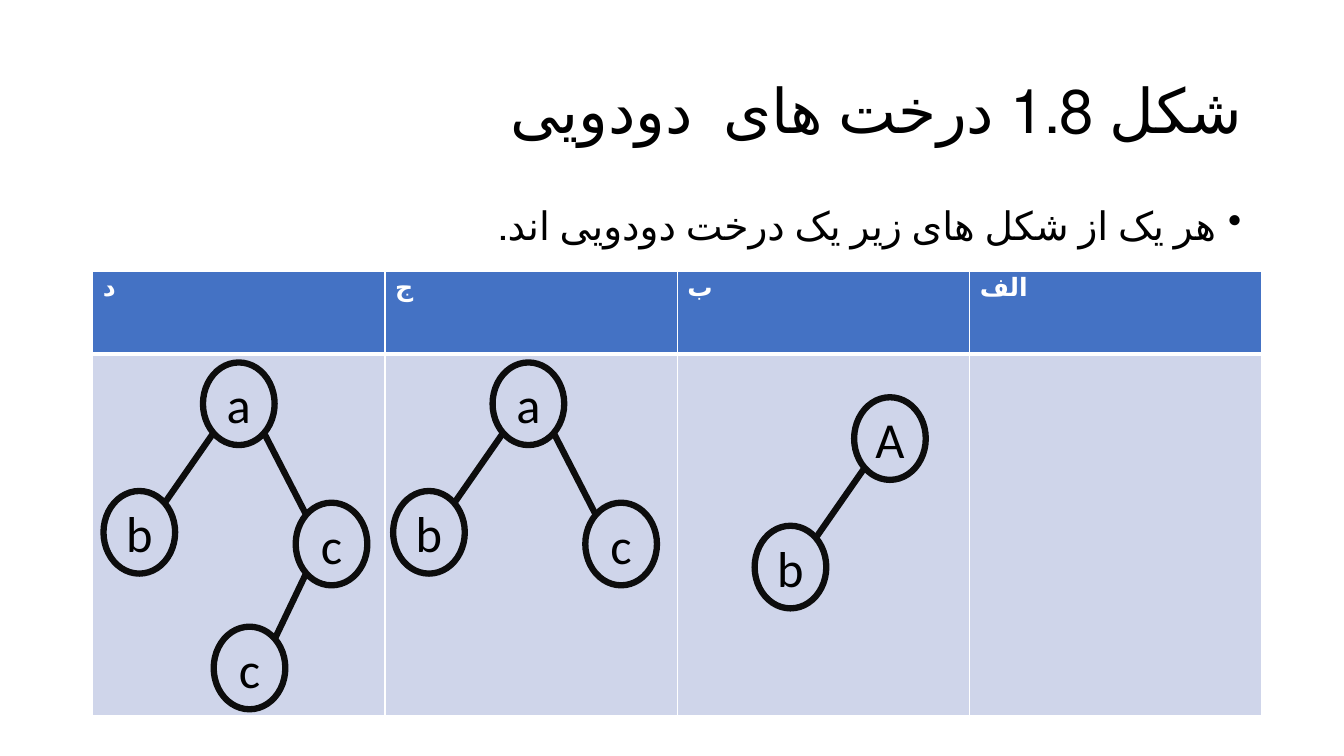
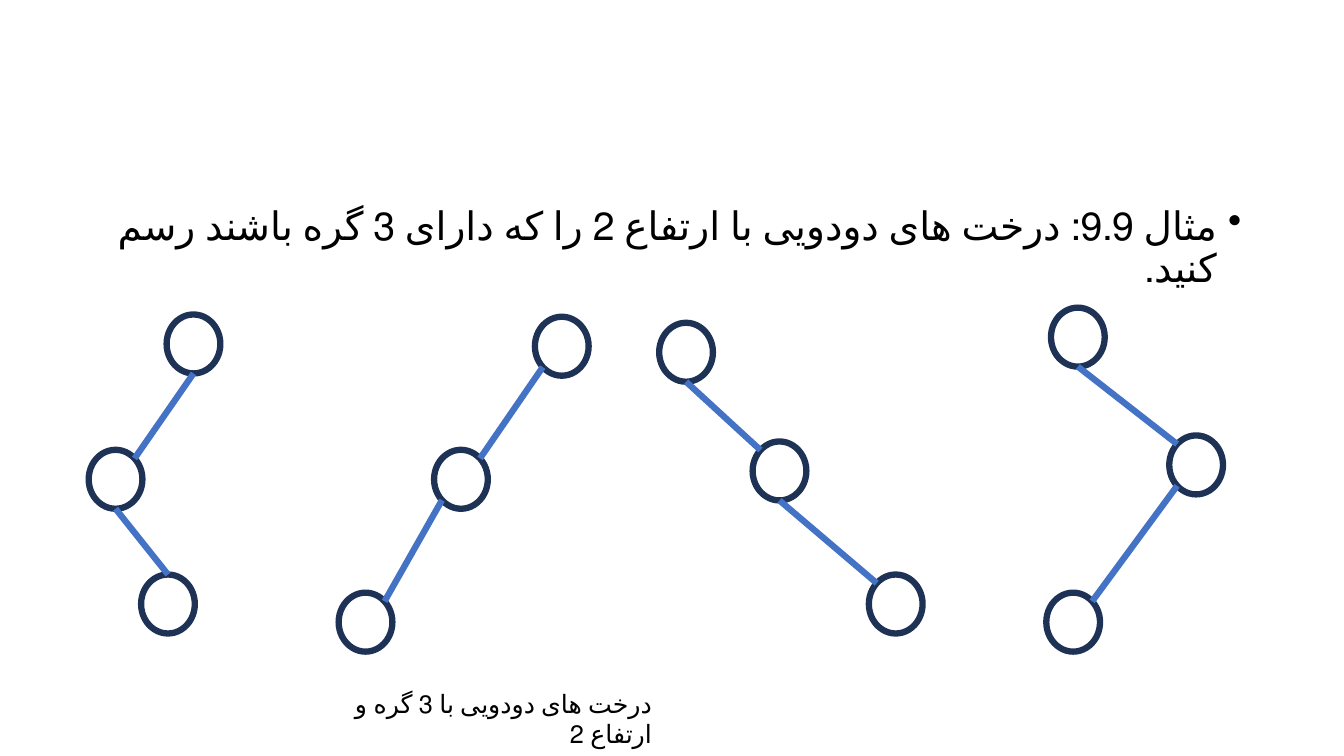
import math
from dataclasses import dataclass

import pptx
import pptx.util
import pptx.dml.color
import pptx.enum.lang
import pptx.enum.shapes
import pptx.enum.text
import pptx.oxml
import pptx.oxml.ns
from lxml import etree

Pt = pptx.util.Pt
Align = pptx.enum.text.PP_ALIGN
Anchor = pptx.enum.text.MSO_ANCHOR
qn = pptx.oxml.ns.qn

WIDE, HIGH = pptx.util.Inches(13.33), pptx.util.Inches(7.5)


@dataclass(frozen=True)
class Theme:
    font: str = "Calibri"
    ink: str = "000000"
    paper: str = "FFFFFF"
    accent: str = "4472C4"
    pale: str = "CFD5EA"
    dark: str = "0D0D0D"
    navy: str = "1E3256"
    title: int = 44
    body: int = 28
    node: int = 36
    small: int = 18
    stroke: float = 4.5


LOOK = Theme()

# Ellipse sites, numbered anticlockwise from the top in steps of 45 degrees
TOP, NW, SW, BOTTOM, SE, NE = 0, 1, 3, 4, 5, 7
LEFT, RIGHT = (SW, NE), (SE, NW)

# All lengths are percent shares of the slide's width and height
EDGE, SPAN = 6.9, 86.25
LARGE, LITTLE = (5.33, 10.93), (4, 7.8)

HEADS = ["د", "ج", "ب", "الف"]
ROWS = [10.93, 47.87]

# Tree kinds: node offsets from the root, then edges (parent, child, sites)
STEPS = [(0, 0), (-7.4, 17), (6.9, 18.55), (0.8, 34.95)]
LINKS = [(0, 1, LEFT), (0, 2, RIGHT), (2, 3, LEFT)]
NAMED = [((63.55, 52.55), "Ab"), ((36.65, 47.95), "abc"),
         ((15.1, 47.95), "abcc")]

PATHS = [
    ([(12.4, 41.6), (6.6, 59.5), (10.5, 76)], [(BOTTOM, NE), (BOTTOM, TOP)]),
    ([(39.8, 41.9), (32.3, 59.5), (25.2, 78.4)], [LEFT, LEFT]),
    ([(49.05, 42.7), (56, 58.4), (64.65, 76)], [(BOTTOM, NW), (BOTTOM, NW)]),
    ([(78.2, 40.7), (87, 57.6), (77.85, 78.4)], [(BOTTOM, NW), LEFT]),
]


def across(share):
    return round(WIDE * share / 100)


def down(share):
    return round(HIGH * share / 100)


def area(x, y, w, h):
    return across(x), down(y), across(w), down(h)


def rgb(code):
    return pptx.dml.color.RGBColor.from_string(code)


def style(para, size, color=LOOK.ink, bold=False):
    para.font.name = LOOK.font
    para.font.size = Pt(size)
    para.font.color.rgb = rgb(color)
    para.font.bold = bold


def persian(para):
    """Mark the runs as Persian, which steers the choice of glyphs."""
    for run in para.runs:
        run.font.language_id = pptx.enum.lang.MSO_LANGUAGE_ID.FARSI


def write(slide, box, text, size, anchor=Anchor.TOP):
    """Add right-to-left text and return its paragraph."""
    frame = slide.shapes.add_textbox(*area(*box)).text_frame
    frame.word_wrap = True
    frame.vertical_anchor = anchor
    para = frame.paragraphs[0]
    para.text = text
    para.alignment = Align.RIGHT
    para._p.get_or_add_pPr().set("rtl", "1")
    style(para, size)
    persian(para)
    return para


def bullet(slide, text, high):
    para = write(slide, (EDGE, 26.67, SPAN, high), text, LOOK.body)
    para.line_spacing = 0.9
    para.space_before = Pt(10)
    props = para._p.get_or_add_pPr()
    props.set("marL", str(Pt(18)))
    props.set("indent", str(-Pt(18)))
    mark = etree.Element(qn("a:buChar"), char="•")
    props.find(qn("a:spcBef")).addnext(mark)


def border(cell, **sides):
    """Draw white cell borders; each side is a width in points."""
    props = cell._tc.get_or_add_tcPr()
    for spot, (side, width) in enumerate(sides.items()):
        line = etree.Element(qn("a:ln" + side), w=str(Pt(width)))
        fill = etree.SubElement(line, qn("a:solidFill"))
        etree.SubElement(fill, qn("a:srgbClr"), val=LOOK.paper)
        props.insert(spot, line)


def grid(slide, heads):
    box = area(EDGE, 35.87, 87, sum(ROWS))
    table = slide.shapes.add_table(len(ROWS), len(heads), *box).table
    for row, high in zip(table.rows, ROWS):
        row.height = down(high)
    for col, head in enumerate(heads):
        top, low = table.cell(0, col), table.cell(1, col)
        top.text = head
        para = top.text_frame.paragraphs[0]
        style(para, LOOK.small, LOOK.paper, True)
        persian(para)
        for cell, color in ((top, LOOK.accent), (low, LOOK.pale)):
            cell.fill.solid()
            cell.fill.fore_color.rgb = rgb(color)
        border(top, L=1, R=1, T=1, B=3)
        border(low, L=1, R=1, T=3, B=1)


def node(slide, spot, size, color, text=""):
    kind = pptx.enum.shapes.MSO_SHAPE.OVAL
    oval = slide.shapes.add_shape(kind, *area(*spot, *size))
    oval.shadow.inherit = False
    oval.fill.background()
    oval.line.color.rgb = rgb(color)
    oval.line.width = Pt(LOOK.stroke)
    if text:
        frame = oval.text_frame
        frame.text = text
        frame.vertical_anchor = Anchor.MIDDLE
        frame.paragraphs[0].alignment = Align.CENTER
        style(frame.paragraphs[0], LOOK.node)
    return oval


def point(oval, site):
    turn = math.radians(45 * site)
    x = oval.left + oval.width * (1 - math.sin(turn)) / 2
    y = oval.top + oval.height * (1 - math.cos(turn)) / 2
    return round(x), round(y)


def join(slide, start, end, sites, color):
    """Glue a straight line to one site of each oval."""
    kind = pptx.enum.shapes.MSO_CONNECTOR.STRAIGHT
    ends = point(start, sites[0]) + point(end, sites[1])
    line = slide.shapes.add_connector(kind, *ends)
    line.line.color.rgb = rgb(color)
    line.line.width = Pt(LOOK.stroke)
    etree.SubElement(line._element.spPr, qn("a:effectLst"))
    props = line._element.find(".//" + qn("p:cNvCxnSpPr"))
    for tag, oval, site in zip(("a:stCxn", "a:endCxn"), (start, end), sites):
        etree.SubElement(props, qn(tag), id=str(oval.shape_id), idx=str(site))


def tree(slide, ovals, links, color):
    for start, end, sites in links:
        join(slide, ovals[start], ovals[end], sites, color)


def shapes(slide):
    para = write(slide, (EDGE, 5.33, SPAN, 19.33),
                 "شکل 1.8 درخت های  دودویی", LOOK.title, Anchor.MIDDLE)
    para.line_spacing = 0.9
    bullet(slide, "هر یک از شکل های زیر یک درخت دودویی اند.", 8)
    grid(slide, HEADS)
    for (x, y), names in NAMED:
        ovals = [node(slide, (x + dx, y + dy), LARGE, LOOK.dark, name)
                 for (dx, dy), name in zip(STEPS, names)]
        tree(slide, ovals, LINKS[:len(names) - 1], LOOK.dark)


def sample(slide):
    bullet(slide, "مثال 9.9: درخت های دودویی با ارتفاع 2 را که دارای 3 گره "
                  "باشند رسم کنید.", 11.87)
    for spots, sites in PATHS:
        ovals = [node(slide, spot, LITTLE, LOOK.navy) for spot in spots]
        links = [(i, i + 1, pair) for i, pair in enumerate(sites)]
        tree(slide, ovals, links, LOOK.accent)
    write(slide, (22.95, 90.4, 26.3, 5.33),
          "درخت های دودویی با 3 گره و ارتفاع 2", LOOK.small)


def main():
    deck = pptx.Presentation()
    deck.slide_width, deck.slide_height = WIDE, HIGH
    for build in (shapes, sample):
        build(deck.slides.add_slide(deck.slide_layouts[6]))
    deck.save("out.pptx")


if __name__ == "__main__":
    main()
